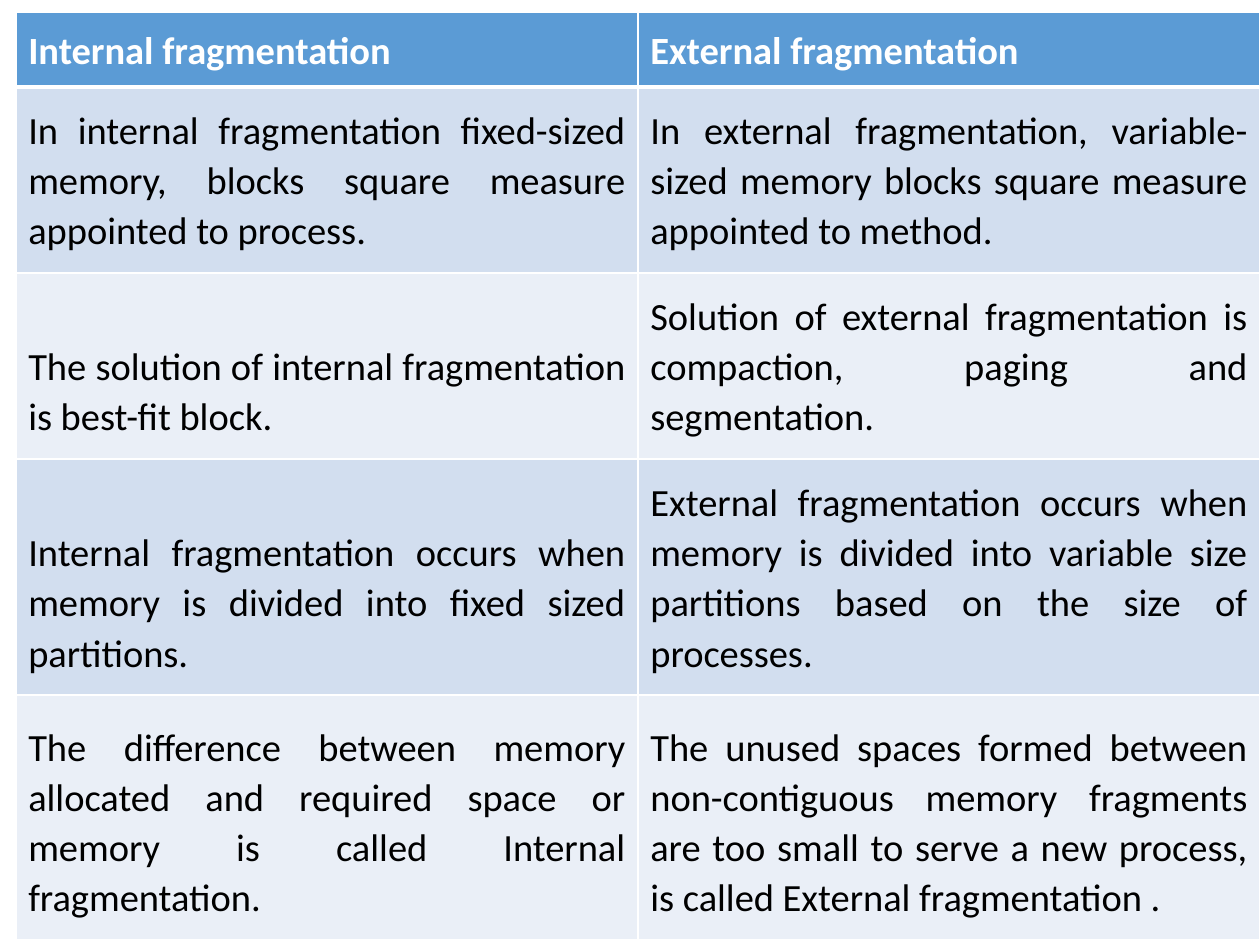
from pptx import Presentation
from pptx.dml.color import RGBColor
from pptx.enum.text import MSO_ANCHOR, PP_ALIGN
from pptx.oxml import parse_xml
from pptx.oxml.ns import nsdecls
from pptx.util import Cm, Pt

ROWS = [
    ("Internal fragmentation", "External fragmentation"),
    ("In internal fragmentation fixed-sized memory, blocks square measure appointed to process.",
     "In external fragmentation, variable-sized memory blocks square measure appointed to method."),
    ("The solution of internal fragmentation is best-fit block.",
     "Solution of external fragmentation is compaction, paging and segmentation."),
    ("Internal fragmentation occurs when memory is divided into fixed sized partitions.",
     "External fragmentation occurs when memory is divided into variable size partitions "
     "based on the size of processes."),
    ("The difference between memory allocated and required space or memory is called "
     "Internal fragmentation.",
     "The unused spaces formed between non-contiguous memory fragments are too small "
     "to serve a new process, is called External fragmentation ."),
]
HEIGHTS = [0.97, 3.12, 2.24, 3.25, 4.93]

THEME = {
    "font": "Calibri", "size": Pt(22),
    "head": "5B9BD5", "bands": ("D2DEEF", "EAEFF7"),
    "light": "FFFFFF", "dark": "000000",
    "thin": Pt(1), "thick": Pt(3),
}
PARA = {"alignment": PP_ALIGN.JUSTIFY, "line_spacing": 1.07, "space_after": Pt(8)}


def apply(item, values):
    for name, value in values.items():
        setattr(item, name, value)


def border(cell, row):
    widths = {side: THEME["thin"] for side in "LRTB"}
    if row == 0:
        widths["B"] = THEME["thick"]
    if row == 1:
        widths["T"] = THEME["thick"]
    props = cell._tc.get_or_add_tcPr()
    for side, width in widths.items():
        props.append(parse_xml(
            f'<a:ln{side} {nsdecls("a")} w="{width}"><a:solidFill>'
            f'<a:srgbClr val="{THEME["light"]}"/></a:solidFill></a:ln{side}>'))


def fill_cell(cell, text, row):
    head = row == 0
    pad = Cm(0.25 if head else 0.36)
    apply(cell, {
        "text": text, "vertical_anchor": MSO_ANCHOR.BOTTOM,
        "margin_left": Cm(0.25), "margin_right": Cm(0.25),
        "margin_top": pad, "margin_bottom": pad,
    })
    border(cell, row)
    cell.fill.solid()
    tint = THEME["head"] if head else THEME["bands"][(row - 1) % 2]
    cell.fill.fore_color.rgb = RGBColor.from_string(tint)
    para = cell.text_frame.paragraphs[0]
    apply(para, PARA)
    font = para.runs[0].font
    apply(font, {"name": THEME["font"], "size": THEME["size"], "bold": head})
    font.color.rgb = RGBColor.from_string(THEME["light" if head else "dark"])


def main():
    deck = Presentation()
    apply(deck, {"slide_width": Cm(25.4), "slide_height": Cm(19.05)})
    slide = deck.slides.add_slide(deck.slide_layouts[6])
    tall = Cm(18.44)
    frame = slide.shapes.add_table(
        len(ROWS), len(ROWS[0]), Cm(0.32), Cm(0.24), Cm(25.08), tall)
    table = frame.table
    for row, (texts, height) in enumerate(zip(ROWS, HEIGHTS)):
        table.rows[row].height = Cm(height)
        for col, text in enumerate(texts):
            fill_cell(table.cell(row, col), text, row)
    frame.height = tall
    deck.save("out.pptx")


if __name__ == "__main__":
    main()
